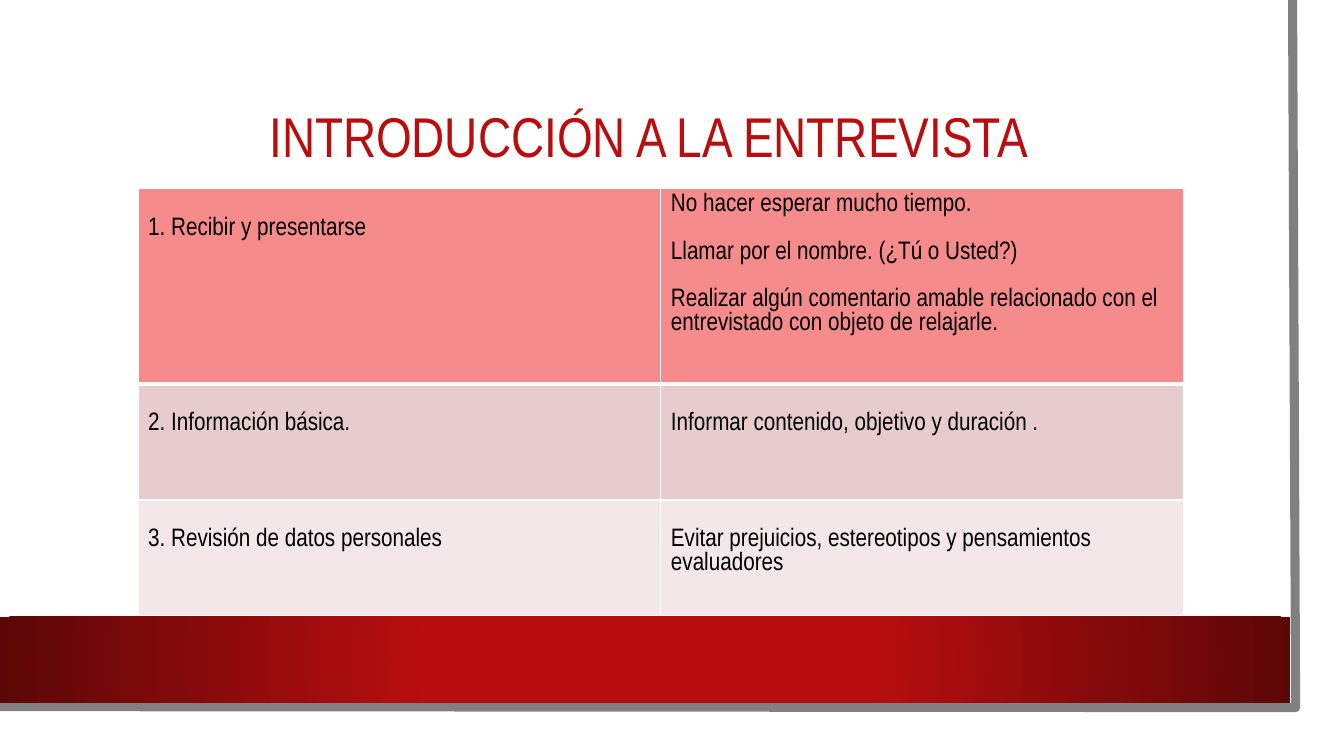
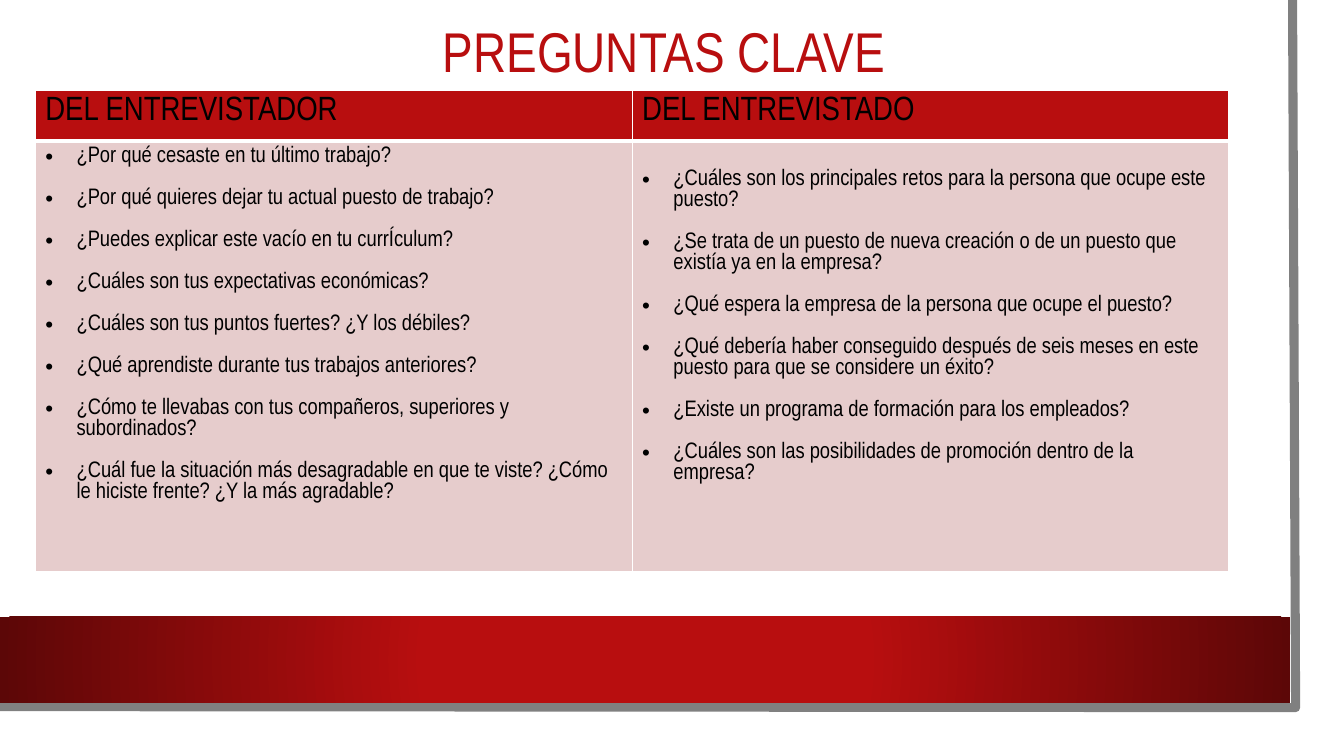
from lxml import etree
from pptx import Presentation
from pptx.dml.color import RGBColor
from pptx.enum.shapes import MSO_SHAPE
from pptx.enum.text import MSO_ANCHOR, PP_ALIGN
from pptx.oxml.ns import qn
from pptx.util import Inches, Pt

RECTANGLE = MSO_SHAPE.RECTANGLE
MIDDLE = MSO_ANCHOR.MIDDLE
CENTER = PP_ALIGN.CENTER

FONT = "Arial Narrow"
RED, DARK_RED, GREY = "B80E0F", "5C0707", "808080"
BLACK, WHITE = "000000", "FFFFFF"
SALMON, ROSE, PALE_ROSE = "F68B8C", "E6CCCC", "F3E7E7"

LINE_HEIGHT = 0.94     # line height of the font, in ems
CELL_MARGIN = 0.05
LOWERED_MARGIN = 0.28  # one 18 pt line further down
BULLET_INDENT = 0.31

INTRODUCTION = [
    ("1. Recibir y presentarse", [
        "No hacer esperar mucho tiempo.",
        "Llamar por el nombre. (¿Tú o Usted?)",
        "Realizar algún comentario amable relacionado con el entrevistado "
        "con objeto de relajarle.",
    ]),
    ("2. Información básica.", ["Informar contenido, objetivo y duración ."]),
    ("3. Revisión de datos personales",
     ["Evitar prejuicios, estereotipos y pensamientos evaluadores"]),
]

INTERVIEWER_QUESTIONS = [
    "¿Por qué cesaste en tu último trabajo?",
    "¿Por qué quieres dejar tu actual puesto de trabajo?",
    "¿Puedes explicar este vacío en tu currÍculum?",
    "¿Cuáles son tus expectativas económicas?",
    "¿Cuáles son tus puntos fuertes? ¿Y los débiles?",
    "¿Qué aprendiste durante tus trabajos anteriores?",
    "¿Cómo te llevabas con tus compañeros, superiores y subordinados?",
    "¿Cuál fue la situación más desagradable en que te viste? "
    "¿Cómo le hiciste frente? ¿Y la más agradable?",
]

CANDIDATE_QUESTIONS = [
    "¿Cuáles son los principales retos para la persona que ocupe este puesto?",
    "¿Se trata de un puesto de nueva creación o de un puesto que existía ya "
    "en la empresa?",
    "¿Qué espera la empresa de la persona que ocupe el puesto?",
    "¿Qué debería haber conseguido después de seis meses en este puesto para "
    "que se considere un éxito?",
    "¿Existe un programa de formación para los empleados?",
    "¿Cuáles son las posibilidades de promoción dentro de la empresa?",
]


def rgb(value):
    return RGBColor.from_string(value)


def style_runs(paragraph, size, color):
    for run in paragraph.runs:
        run.font.name = FONT
        run.font.size = Pt(size)
        run.font.color.rgb = rgb(color)


def add_frame(slide):
    """Grey edge on the right and bottom of the page."""
    corners = [(12.82, 0), (12.85, 7.02), (-0.03, 7.01)]
    points = [(Inches(x), Inches(y)) for x, y in corners]
    builder = slide.shapes.build_freeform(*points[0])
    builder.add_line_segments(points[1:], close=False)
    edge = builder.convert_to_shape()
    edge.shadow.inherit = False
    edge.fill.background()
    edge.line.color.rgb = rgb(GREY)
    edge.line.width = Pt(6.5)


def add_band(slide):
    """Red band with a radial gradient that darkens towards its ends."""
    band = slide.shapes.add_shape(
        RECTANGLE, 0, Inches(6.12), Inches(12.8), Inches(0.85))
    band.shadow.inherit = False
    band.line.fill.background()
    band.fill.gradient()
    stops = [(0.34, RED), (1, DARK_RED)]
    for stop, (position, color) in zip(band.fill.gradient_stops, stops):
        stop.position = position
        stop.color.rgb = rgb(color)
    gradient = band.element.spPr.find(qn("a:gradFill"))
    gradient.remove(gradient.find(qn("a:lin")))
    radial = etree.SubElement(gradient, qn("a:path"), path="circle")
    etree.SubElement(radial, qn("a:fillToRect"),
                     {side: "50000" for side in "ltrb"})


def add_title(slide, text, left, top, height):
    frame = slide.shapes.add_textbox(
        Inches(left), Inches(top), Inches(11.37), Inches(height)).text_frame
    frame.word_wrap = True
    frame.vertical_anchor = MIDDLE
    heading = frame.paragraphs[0]
    heading.text = text
    heading.alignment = CENTER
    heading.line_spacing = 0.9
    style_runs(heading, 40, RED)


def new_slide(prs, title, left, top, height):
    slide = prs.slides.add_slide(prs.slide_layouts[6])
    add_frame(slide)
    add_band(slide)
    add_title(slide, title, left, top, height)
    return slide


def add_table(slide, left, top, width, row_heights):
    """Two equal columns, without the banding of the default style."""
    table = slide.shapes.add_table(
        len(row_heights), 2, Inches(left), Inches(top),
        Inches(width), Inches(sum(row_heights))).table
    table.first_row = table.horz_banding = False
    for row, height in zip(table.rows, row_heights):
        row.height = Inches(height)
    return table


def set_borders(cell, top, bottom):
    properties = cell._tc.get_or_add_tcPr()
    widths = [("L", 1), ("R", 1), ("T", top), ("B", bottom)]
    for index, (side, width) in enumerate(widths):
        line = etree.Element(qn(f"a:ln{side}"), w=str(Pt(width)))
        fill = etree.SubElement(line, qn("a:solidFill"))
        etree.SubElement(fill, qn("a:srgbClr"), val=WHITE)
        properties.insert(index, line)


def add_bullet(paragraph):
    properties = paragraph._p.get_or_add_pPr()
    properties.set("marL", str(Inches(BULLET_INDENT)))
    properties.set("indent", str(-Inches(BULLET_INDENT)))
    etree.SubElement(properties, qn("a:buFont"), typeface="Arial")
    etree.SubElement(properties, qn("a:buChar"), char="•")


def fill_cell(table, row, column, lines, size, fill,
              lowered=False, bulleted=False):
    """Write lines one blank line apart; a thick rule follows the first row."""
    cell = table.cell(row, column)
    cell.margin_top = Inches(LOWERED_MARGIN if lowered else CELL_MARGIN)
    cell.fill.solid()
    cell.fill.fore_color.rgb = rgb(fill)
    set_borders(cell, top=3 if row == 1 else 1, bottom=3 if row == 0 else 1)
    cell.text_frame.text = "\n".join(lines)
    for index, paragraph in enumerate(cell.text_frame.paragraphs):
        if index:
            paragraph.space_before = Pt(round(size * LINE_HEIGHT, 1))
        if bulleted:
            add_bullet(paragraph)
        style_runs(paragraph, size, BLACK)


def build_introduction(prs):
    slide = new_slide(prs, "INTRODUCCIÓN A LA ENTREVISTA", 0.75, 0.75, 1.26)
    table = add_table(slide, 1.37, 1.87, 10.37, [1.94, 1.15, 1.15])
    row_fills = [SALMON, ROSE, PALE_ROSE]
    for row, ((step, advice), fill) in enumerate(zip(INTRODUCTION, row_fills)):
        fill_cell(table, row, 0, [step], 18, fill, lowered=True)
        fill_cell(table, row, 1, advice, 18, fill, lowered=row > 0)


def build_key_questions(prs):
    slide = new_slide(prs, "PREGUNTAS CLAVE", 0.9, 0.17, 0.73)
    table = add_table(slide, 0.35, 0.9, 11.84, [0.46, 4.27])
    columns = [("DEL ENTREVISTADOR", INTERVIEWER_QUESTIONS),
               ("DEL ENTREVISTADO", CANDIDATE_QUESTIONS)]
    for column, (header, questions) in enumerate(columns):
        fill_cell(table, 0, column, [header], 24, RED)
        fill_cell(table, 1, column, questions, 16, ROSE,
                  lowered=column == 1, bulleted=True)


def main():
    prs = Presentation()
    prs.slide_width = Inches(13.33)
    prs.slide_height = Inches(7.5)
    build_introduction(prs)
    build_key_questions(prs)
    prs.save("out.pptx")


if __name__ == "__main__":
    main()
